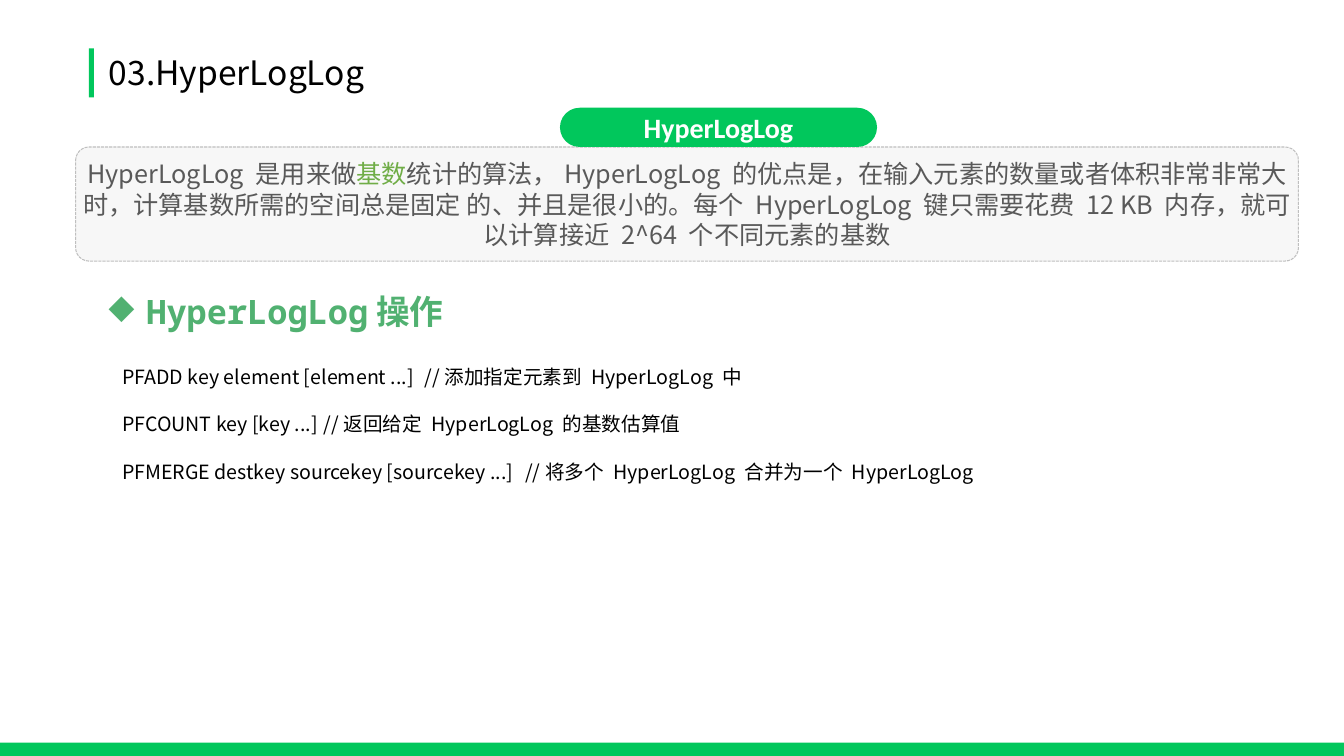
from lxml.etree import SubElement
from pptx import Presentation
from pptx.dml.color import RGBColor
from pptx.enum.dml import MSO_LINE
from pptx.enum.shapes import MSO_SHAPE
from pptx.enum.text import MSO_ANCHOR, MSO_AUTO_SIZE, PP_ALIGN
from pptx.oxml.ns import qn
from pptx.util import Pt

GREEN = RGBColor(0x01, 0xC7, 0x5C)
LEAF = RGBColor(0x70, 0xAD, 0x47)
MINT = RGBColor(0x51, 0xB1, 0x71)
PALE = RGBColor(0xF7, 0xF7, 0xF7)
EDGE = RGBColor(0xBF, 0xBF, 0xBF)
GREY = RGBColor(0x59, 0x59, 0x59)
BLACK = RGBColor(0, 0, 0)
WHITE = RGBColor(0xFF, 0xFF, 0xFF)


class Deck:
    """Style and current slide; all lengths are in points."""

    sans = "Noto Sans CJK SC"
    mono = "Noto Sans Mono"
    head = "Calibri"

    def __init__(self, wide, high):
        self.show = Presentation()
        self.show.slide_width, self.show.slide_height = Pt(wide), Pt(high)
        self.slide = self.show.slides.add_slide(self.show.slide_layouts[1])

    def shape(self, kind, box, fill, edge=None, round_by=None):
        item = self.slide.shapes.add_shape(kind, *map(Pt, box))
        item.shadow.inherit = False
        item.fill.solid()
        item.fill.fore_color.rgb = fill
        if edge is None:
            item.line.fill.background()
        else:
            item.line.color.rgb = edge
            item.line.width = Pt(0.75)
            item.line.dash_style = MSO_LINE.SQUARE_DOT
        if round_by is not None:
            item.adjustments[0] = round_by
        return item

    def frame(self, item, anchor=MSO_ANCHOR.MIDDLE, inset=None):
        text = item.text_frame
        text.word_wrap = True
        text.auto_size = MSO_AUTO_SIZE.NONE
        text.vertical_anchor = anchor
        if inset is not None:
            text.margin_left = text.margin_right = Pt(inset)
            text.margin_top = text.margin_bottom = 0
        return text

    def holder(self, index, box, anchor=MSO_ANCHOR.MIDDLE):
        item = self.slide.placeholders[index]
        item.left, item.top, item.width, item.height = map(Pt, box)
        return self.frame(item, anchor)

    def label(self, box):
        return self.frame(self.slide.shapes.add_textbox(*map(Pt, box)))

    def style(self, para, size, color, face=None, bold=False,
              align=PP_ALIGN.LEFT, pitch=None):
        para.alignment = align
        para.space_before = Pt(0)
        if pitch is not None:
            para.line_spacing = pitch
        font = para.font
        font.size, font.bold = Pt(size), bold
        font.color.rgb = color
        font.name = face or self.sans
        rule = para._p.pPr.find(qn("a:defRPr"))
        SubElement(rule, qn("a:ea")).set("typeface", self.sans)

    def bullet(self, para, mark=None, indent=0):
        rule = para._p.get_or_add_pPr()
        rule.set("marL", str(Pt(indent)))
        rule.set("indent", str(-Pt(indent)))
        if mark:
            SubElement(rule, qn("a:buChar")).set("char", mark)
        else:
            SubElement(rule, qn("a:buNone"))

    def tab(self, para, stop):
        tabs = SubElement(para._p.get_or_add_pPr(), qn("a:tabLst"))
        node = SubElement(tabs, qn("a:tab"))
        node.set("pos", str(Pt(stop)))
        node.set("algn", "l")


def main():
    deck = Deck(960, 540)

    # Title and green bars
    deck.shape(MSO_SHAPE.RECTANGLE, (63.5, 34.5, 3.6, 35), GREEN)
    deck.shape(MSO_SHAPE.RECTANGLE, (0, 530.5, 960, 9.5), GREEN)
    title = deck.holder(0, (70.5, 37.5, 889.5, 31)).paragraphs[0]
    title.text = "03.HyperLogLog"
    deck.style(title, 24, BLACK, pitch=0.9)

    # Definition panel
    panel = deck.shape(MSO_SHAPE.ROUNDED_RECTANGLE, (54, 105, 873.5, 81.5),
                       PALE, EDGE, 0.118)
    para = deck.frame(panel, inset=0).paragraphs[0]
    para.add_run().text = "HyperLogLog 是用来做"
    key = para.add_run()
    key.text = "基数"
    key.font.color.rgb = LEAF
    para.add_run().text = (
        "统计的算法，HyperLogLog 的优点是，在输入元素的数量或者体积非常非常大时，"
        "计算基数所需的空间总是固定 的、并且是很小的。每个 HyperLogLog 键只需要花费 "
        "12 KB 内存，就可以计算接近 2^64 个不同元素的基数")
    deck.style(para, 18, GREY, align=PP_ALIGN.CENTER, pitch=Pt(21.8))

    # Pill above the panel
    pill = deck.shape(MSO_SHAPE.ROUNDED_RECTANGLE, (400, 77, 226.5, 28),
                      GREEN, round_by=0.5)
    name = deck.frame(pill, inset=3).paragraphs[0]
    name.text = "HyperLogLog"
    deck.style(name, 20, WHITE, deck.head, True, PP_ALIGN.CENTER)

    # Section heading
    topic = deck.label((70.5, 204, 828, 36)).paragraphs[0]
    topic.text = "HyperLogLog操作"
    deck.bullet(topic, "◆", 27)
    deck.style(topic, 24, MINT, deck.mono, True)

    # Commands: call, tab stop, remark
    calls = (
        ("PFADD key element [element ...]", 291, "//添加指定元素到 HyperLogLog 中"),
        ("PFCOUNT key [key ...]", 269, "//返回给定 HyperLogLog 的基数估算值"),
        ("PFMERGE destkey sourcekey [sourcekey ...]", 288,
         "//将多个 HyperLogLog 合并为一个 HyperLogLog"),
    )
    body = deck.holder(1, (80, 240, 870, 109), MSO_ANCHOR.TOP)
    for row, (call, stop, remark) in enumerate(calls):
        para = body.add_paragraph() if row else body.paragraphs[0]
        para.text = f"{call}\t{remark}"
        deck.bullet(para)
        deck.tab(para, stop)
        deck.style(para, 14, BLACK, pitch=Pt(33.8))

    deck.show.save("out.pptx")


if __name__ == "__main__":
    main()
